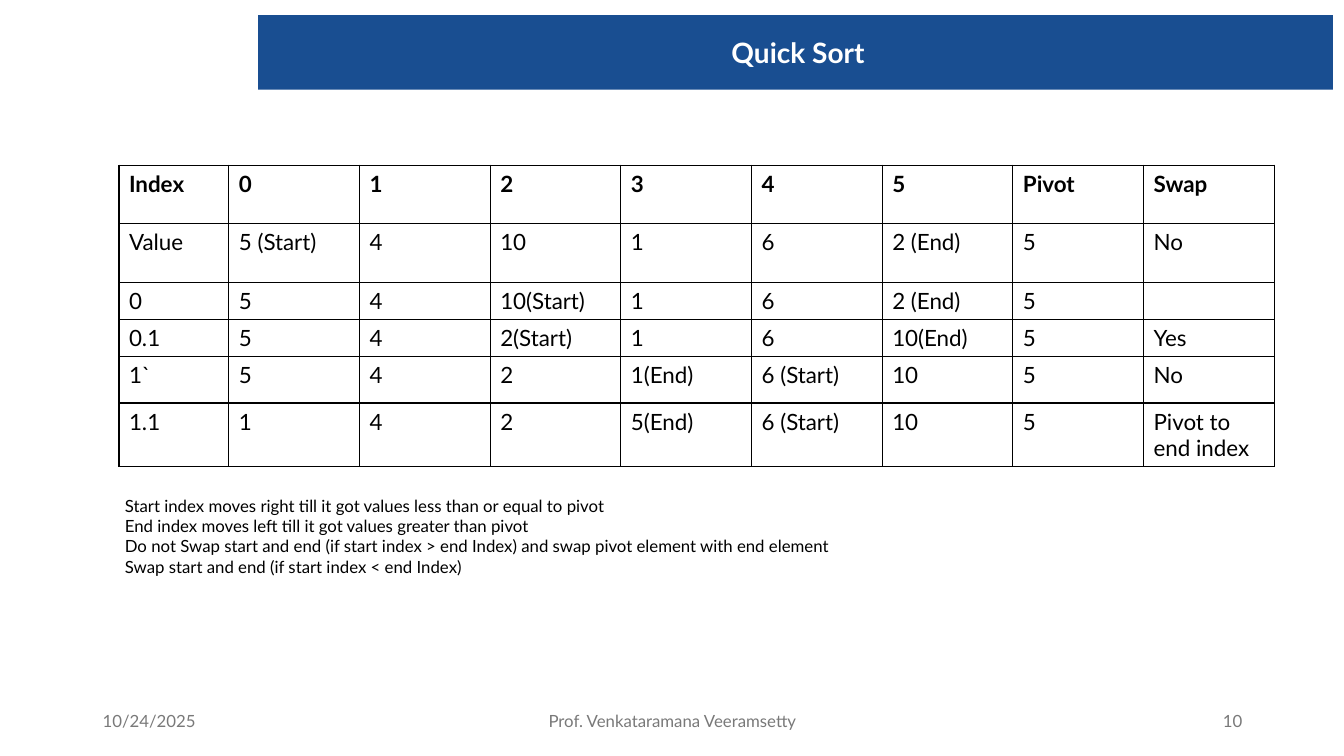
from dataclasses import dataclass

from lxml.etree import SubElement
from pptx import Presentation
from pptx.dml.color import RGBColor
from pptx.enum.shapes import MSO_SHAPE
from pptx.enum.text import MSO_ANCHOR, PP_ALIGN
from pptx.oxml.ns import qn
from pptx.util import Inches, Pt


@dataclass(frozen=True)
class Theme:
    font: str = "Lato"
    banner: RGBColor = RGBColor(0x19, 0x4E, 0x91)
    white: RGBColor = RGBColor(0xFF, 0xFF, 0xFF)
    black: RGBColor = RGBColor(0, 0, 0)
    footer: RGBColor = RGBColor(0x79, 0x79, 0x79)
    title_size: int = 20
    table_size: int = 16
    small_size: int = 12


THEME = Theme()

SORT_STEPS = [
    ["Index", "0", "1", "2", "3", "4", "5", "Pivot", "Swap"],
    ["Value", "5 (Start)", "4", "10", "1", "6", "2 (End)", "5", "No"],
    ["0", "5", "4", "10(Start)", "1", "6", "2 (End)", "5", ""],
    ["0.1", "5", "4", "2(Start)", "1", "6", "10(End)", "5", "Yes"],
    ["1`", "5", "4", "2", "1(End)", "6 (Start)", "10", "5", "No"],
    ["1.1", "1", "4", "2", "5(End)", "6 (Start)", "10", "5", "Pivot to end index"],
]
ROW_HEIGHTS = [0.58, 0.58, 0.36, 0.36, 0.46, 0.58]
TABLE_WIDTH = 11.46
INDEX_WIDTH = 1.09

RULES = [
    "Start index moves right till it got values less than or equal to pivot",
    "End index moves left till it got values greater than pivot",
    "Do not Swap start and end (if start index > end Index) and swap pivot element with end element",
    "Swap start and end (if start index < end Index)",
]


def write_text(frame, text, size, color, bold=False, align=PP_ALIGN.LEFT):
    frame.text = text
    frame.word_wrap = True
    for paragraph in frame.paragraphs:
        paragraph.alignment = align
        for run in paragraph.runs:
            run.font.name = THEME.font
            run.font.size = Pt(size)
            run.font.bold = bold
            run.font.color.rgb = color


def add_banner_block(slide, left, top, width, height):
    block = slide.shapes.add_shape(
        MSO_SHAPE.RECTANGLE, Inches(left), Inches(top), Inches(width), Inches(height)
    )
    block.shadow.inherit = False
    block.fill.solid()
    block.fill.fore_color.rgb = THEME.banner
    block.line.fill.background()
    return block


def add_small_text(slide, text, box, color, align=PP_ALIGN.LEFT, anchor=MSO_ANCHOR.TOP):
    label = slide.shapes.add_textbox(*map(Inches, box))
    label.text_frame.vertical_anchor = anchor
    write_text(label.text_frame, text, THEME.small_size, color, align=align)


def add_borders(cell):
    properties = cell._tc.get_or_add_tcPr()
    for side in ("a:lnL", "a:lnR", "a:lnT", "a:lnB"):
        border = SubElement(properties, qn(side), w=str(Pt(1)))
        border_fill = SubElement(border, qn("a:solidFill"))
        SubElement(border_fill, qn("a:srgbClr"), val=str(THEME.black))


def fill_cell(cell, text, bold):
    write_text(cell.text_frame, text, THEME.table_size, THEME.black, bold)
    if not text:
        paragraph = cell.text_frame.paragraphs[0]
        SubElement(paragraph._p, qn("a:endParaRPr"), sz=str(THEME.table_size * 100))
    add_borders(cell)
    cell.fill.background()


def add_steps_table(slide):
    column_count = len(SORT_STEPS[0])
    steps = slide.shapes.add_table(
        len(SORT_STEPS), column_count,
        Inches(1.18), Inches(1.64), Inches(TABLE_WIDTH), Inches(sum(ROW_HEIGHTS)),
    ).table
    steps.first_row = False
    steps.horz_banding = False
    value_width = (TABLE_WIDTH - INDEX_WIDTH) / (column_count - 1)
    for position, column in enumerate(steps.columns):
        column.width = Inches(value_width if position else INDEX_WIDTH)
    for row, height in zip(steps.rows, ROW_HEIGHTS):
        row.height = Inches(height)
    for row_index, values in enumerate(SORT_STEPS):
        for column_index, value in enumerate(values):
            fill_cell(steps.cell(row_index, column_index), value, row_index == 0)


def add_footer(slide):
    footer_parts = [
        ("10/24/2025", 0.92, 3, PP_ALIGN.LEFT),
        ("Prof. Venkataramana Veeramsetty", 4.42, 4.5, PP_ALIGN.CENTER),
        ("10", 9.42, 3, PP_ALIGN.RIGHT),
    ]
    for text, left, width, align in footer_parts:
        add_small_text(
            slide, text, (left, 6.95, width, 0.4), THEME.footer, align, MSO_ANCHOR.MIDDLE
        )


def main():
    presentation = Presentation()
    presentation.slide_width = Inches(13.33)
    presentation.slide_height = Inches(7.5)
    slide = presentation.slides.add_slide(presentation.slide_layouts[6])

    add_banner_block(slide, 2.56, 0.15, 10.66, 0.74)
    title = add_banner_block(slide, 2.62, 0.3, 10.59, 0.44)
    write_text(
        title.text_frame, "Quick Sort", THEME.title_size, THEME.white, True, PP_ALIGN.CENTER
    )
    add_steps_table(slide)
    add_small_text(slide, "\n".join(RULES), (1.14, 4.87, 11.05, 1.51), THEME.black)
    add_footer(slide)

    presentation.save("out.pptx")


if __name__ == "__main__":
    main()
